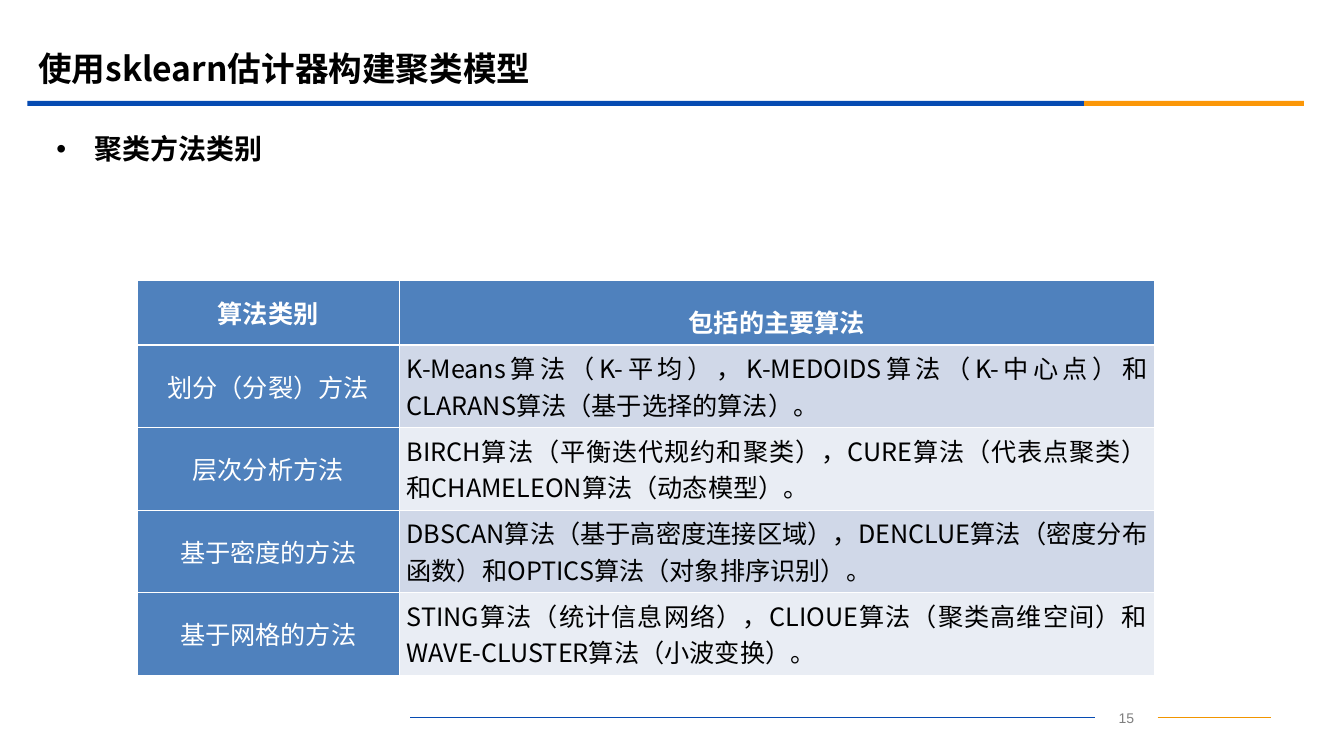
from dataclasses import dataclass

from lxml.etree import SubElement
from pptx import Presentation
from pptx.dml.color import RGBColor
from pptx.enum.shapes import MSO_CONNECTOR, MSO_SHAPE
from pptx.enum.text import MSO_ANCHOR, MSO_AUTO_SIZE, PP_ALIGN
from pptx.oxml.ns import qn
from pptx.util import Cm, Pt


@dataclass(frozen=True)
class Theme:
    """Colours, fonts and type sizes of the slide."""
    blue: str = "064BB2"
    orange: str = "FB9708"
    footer_orange: str = "F19500"
    header: str = "4F81BD"
    bands: tuple = ("D0D8E8", "E9EDF4")
    black: str = "000000"
    white: str = "FFFFFF"
    grey: str = "7F7F7F"
    font: str = "Noto Sans CJK SC"
    number_font: str = "Arial"
    title_size: int = 24
    subtitle_size: int = 20
    table_size: int = 18
    number_size: int = 10


THEME = Theme()
HEADINGS = ("算法类别", "包括的主要算法")
METHODS = (
    ("划分（分裂）方法",
     "K-Means算法（K-平均），K-MEDOIDS算法（K-中心点）和CLARANS算法（基于选择的算法）。"),
    ("层次分析方法",
     "BIRCH算法（平衡迭代规约和聚类），CURE算法（代表点聚类）和CHAMELEON算法（动态模型）。"),
    ("基于密度的方法",
     "DBSCAN算法（基于高密度连接区域），DENCLUE算法（密度分布函数）和OPTICS算法（对象排序识别）。"),
    ("基于网格的方法",
     "STING算法（统计信息网络），CLIOUE算法（聚类高维空间）和WAVE-CLUSTER算法（小波变换）。"),
)


def write_text(text_frame, text, size, color, bold=False,
               alignment=PP_ALIGN.LEFT, font=THEME.font):
    """Fill a text frame with one formatted paragraph and return it."""
    text_frame.text = text
    text_frame.word_wrap = True
    paragraph = text_frame.paragraphs[0]
    paragraph.alignment = alignment
    paragraph.space_before = Pt(0)
    for run in paragraph.runs:
        run.font.size = Pt(size)
        run.font.bold = bold
        run.font.name = font
        run.font.color.rgb = RGBColor.from_string(color)
        SubElement(run.font._element, qn("a:ea"), typeface=font)
    return paragraph


def place(shape, left, top, width, height):
    """Move and size a shape, with lengths in centimetres."""
    shape.left, shape.top = Cm(left), Cm(top)
    shape.width, shape.height = Cm(width), Cm(height)


def fill_placeholder(placeholder, text, size, box):
    """Place a bold heading without bullet in a placeholder."""
    place(placeholder, *box)
    text_frame = placeholder.text_frame
    text_frame.auto_size = MSO_AUTO_SIZE.NONE
    text_frame.vertical_anchor = MSO_ANCHOR.MIDDLE
    properties = text_frame.paragraphs[0]._p.get_or_add_pPr()
    properties.set("marL", "0")
    properties.set("indent", "0")
    SubElement(properties, qn("a:buNone"))
    write_text(text_frame, text, size, THEME.black, bold=True)


def add_bar(slide, left, width, color):
    """Draw one part of the bar under the title."""
    bar = slide.shapes.add_shape(
        MSO_SHAPE.RECTANGLE, Cm(left), Cm(2.54), Cm(width), Cm(0.13))
    bar.shadow.inherit = False
    bar.fill.solid()
    bar.fill.fore_color.rgb = RGBColor.from_string(color)
    bar.line.fill.background()


def add_footer_line(slide, start, end, color):
    """Draw a thin horizontal line in the footer."""
    line = slide.shapes.add_connector(
        MSO_CONNECTOR.STRAIGHT, Cm(start), Cm(18.08), Cm(end), Cm(18.08))
    line.line.width = Pt(0.75)
    line.line.color.rgb = RGBColor.from_string(color)
    SubElement(line._element.spPr, qn("a:effectLst"))


def add_page_number(slide, number):
    """Write the page number between the footer lines."""
    box = slide.shapes.add_textbox(Cm(27.61), Cm(17.75), Cm(1.57), Cm(0.64))
    write_text(box.text_frame, number, THEME.number_size, THEME.grey,
               alignment=PP_ALIGN.CENTER, font=THEME.number_font)


def set_borders(cell, top, bottom):
    """Give a cell white borders, with top and bottom widths in points."""
    properties = cell._tc.get_or_add_tcPr()
    widths = {"lnL": 0.45, "lnR": 0.45, "lnT": top, "lnB": bottom}
    for side, width in widths.items():
        line = SubElement(properties, qn(f"a:{side}"), w=str(Pt(width)))
        fill = SubElement(line, qn("a:solidFill"))
        SubElement(fill, qn("a:srgbClr"), val=THEME.white)


def format_cell(cell, row, column, text):
    """Write and style one table cell according to its position."""
    is_header = row == 0
    is_dark = is_header or column == 0
    set_borders(cell, 1.47 if row == 1 else 0.45, 1.47 if is_header else 0.45)
    cell.fill.solid()
    cell.fill.fore_color.rgb = RGBColor.from_string(
        THEME.header if is_dark else THEME.bands[(row - 1) % 2])
    cell.vertical_anchor = MSO_ANCHOR.MIDDLE
    cell.margin_left = cell.margin_right = Cm(0.19)
    cell.margin_top = cell.margin_bottom = Cm(0.12)
    paragraph = write_text(
        cell.text_frame, text, THEME.table_size,
        THEME.white if is_dark else THEME.black, bold=is_header,
        alignment=PP_ALIGN.CENTER if is_dark else PP_ALIGN.JUSTIFY)
    if is_header and column == 1:
        paragraph.line_spacing = 1.5


def add_method_table(slide):
    """Add the table of clustering methods and their algorithms."""
    rows = (HEADINGS, *METHODS)
    table = slide.shapes.add_table(
        len(rows), len(HEADINGS), Cm(3.46), Cm(7.07), Cm(25.65), Cm(8.4)).table
    for column, width in zip(table.columns, (6.6, 19.05)):
        column.width = Cm(width)
    for row_index, texts in enumerate(rows):
        table.rows[row_index].height = Cm(1.85 if row_index else 1.37)
        for column_index, text in enumerate(texts):
            format_cell(table.cell(row_index, column_index),
                        row_index, column_index, text)


def main():
    """Build the slide and save it."""
    presentation = Presentation()
    presentation.slide_width, presentation.slide_height = Cm(33.88), Cm(19.05)
    slide = presentation.slides.add_slide(presentation.slide_layouts[1])
    title, subtitle = slide.placeholders
    fill_placeholder(title, "使用sklearn估计器构建聚类模型",
                     THEME.title_size, (0.71, 0.99, 30.48, 1.47))
    fill_placeholder(subtitle, "聚类方法类别",
                     THEME.subtitle_size, (1.17, 3.15, 30.86, 1.19))
    add_bar(slide, 0.69, 26.64, THEME.blue)
    add_bar(slide, 27.33, 5.54, THEME.orange)
    add_method_table(slide)
    add_footer_line(slide, 10.34, 27.61, THEME.blue)
    add_footer_line(slide, 29.18, 32.03, THEME.footer_orange)
    add_page_number(slide, "15")
    presentation.save("out.pptx")


if __name__ == "__main__":
    main()
